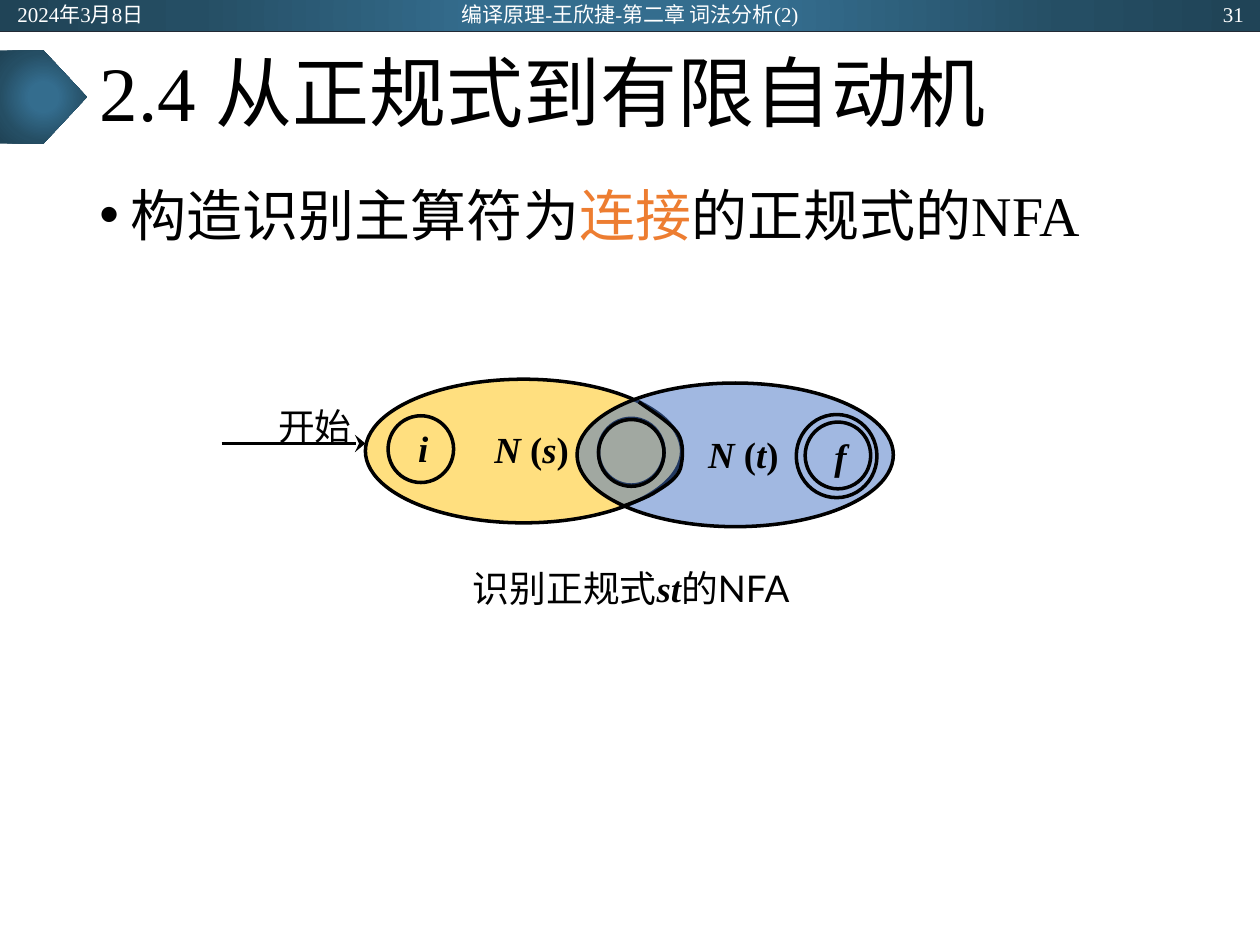
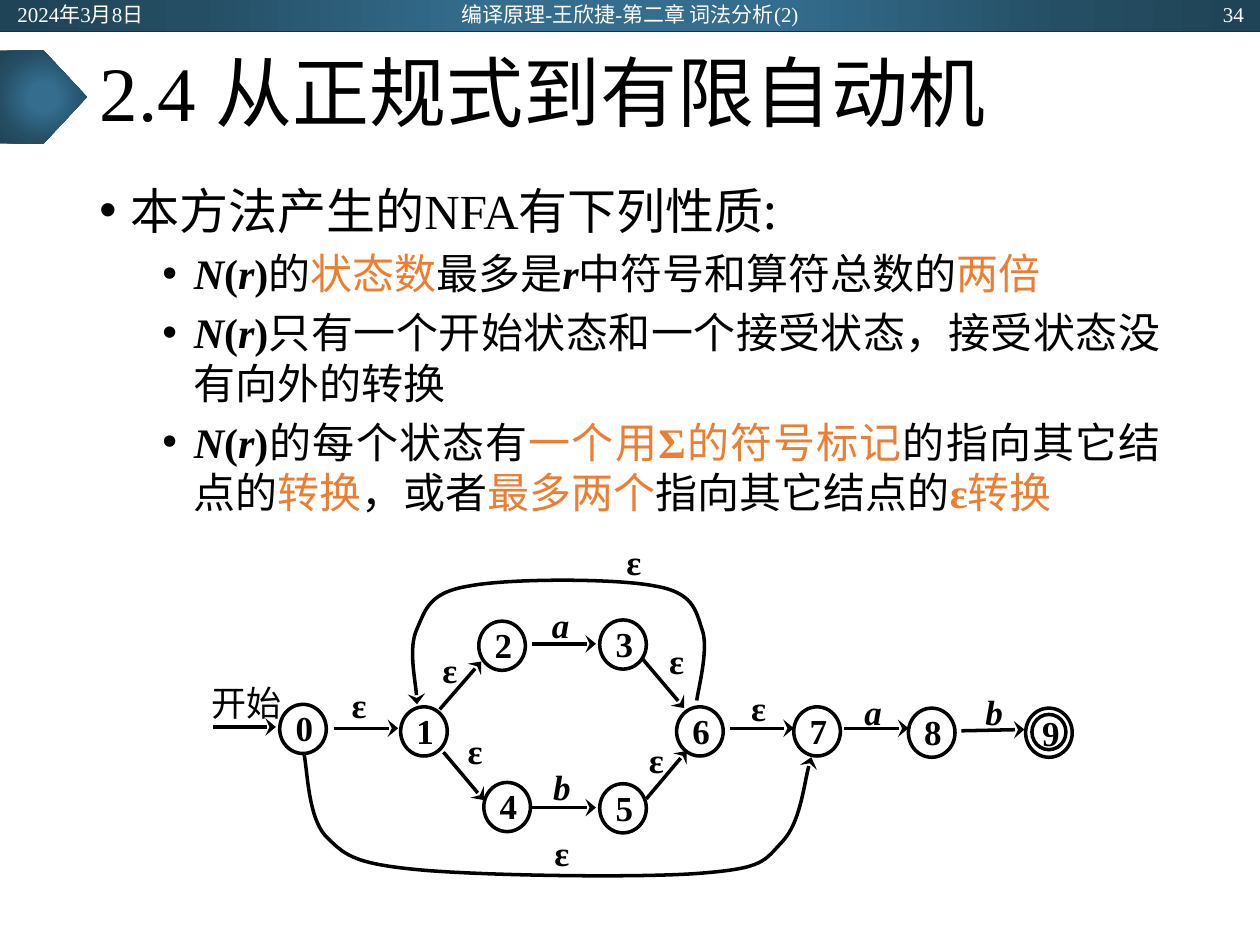
from dataclasses import dataclass

from lxml import etree
from pptx import Presentation
from pptx import util as u
from pptx.dml.color import RGBColor
from pptx.enum import shapes, text
from pptx.oxml import ns

PX = u.Inches(1) // 100


@dataclass(frozen=True)
class Theme:
    ink: str = "000000"
    paper: str = "FFFFFF"
    accent: str = "ED7D31"
    rule: str = "222A35"
    first_part: str = "FFC000"
    second_part: str = "4472C4"
    glow: tuple = ((0, "346D8E"), (23, "346D8E"), (69, "254E64"), (97, "204457"))
    latin: str = "Times New Roman"
    cjk: str = "Noto Sans CJK SC"
    sans: str = "Lato"
    title: int = 44
    topic: int = 32
    lead: int = 28
    point: int = 24
    diagram: int = 21
    state: int = 20
    footer: int = 12
    stroke: float = 2


THEME = Theme()
STYLES = {
    "plain": {},
    "bold": {"bold": True},
    "var": {"bold": True, "italic": True},
    "hot": {"color": THEME.accent},
    "hot bold": {"color": THEME.accent, "bold": True},
    "light": {"color": THEME.paper},
    "cjk": {"name": THEME.cjk},
    "sans": {"name": THEME.sans},
}
ALIGN = text.PP_ALIGN
MIDDLE = text.MSO_ANCHOR.MIDDLE
CENTERED = {"alignment": ALIGN.CENTER}
STANDARD_INSETS = (10, 5, 10, 5)
LABEL_INSETS = (4, 2, 4, 2)
STATE_INSETS = (4, 2, 2, 4)
STATE_SIZE = (37, 39)
INNER_SIZE = (52, 53)


def emu(lengths):
    return [length * PX for length in lengths]


def add_xml(parent, tag, **attributes):
    return etree.SubElement(parent, ns.qn(tag), attributes)


def apply(target, settings):
    for name, value in settings.items():
        setattr(target, name, value)


def add_run(paragraph, words, style, size):
    run = paragraph.add_run()
    run.text = words
    settings = {"name": THEME.latin, "size": u.Pt(size), "bold": False,
                "italic": False, "color": THEME.ink, **STYLES[style]}
    color = settings.pop("color")
    apply(run.font, settings)
    run.font.color.rgb = RGBColor.from_string(color)
    add_xml(run.font._element, "a:ea", typeface=THEME.cjk)


def add_bullet(paragraph, indent):
    properties = paragraph._p.get_or_add_pPr()
    properties.set("marL", str(indent * PX))
    properties.set("indent", str(-25 * PX))
    add_xml(properties, "a:buFont", typeface="Arial")
    add_xml(properties, "a:buChar", char="•")


def line_of(runs, size, indent=None, **settings):
    return {"runs": runs, "size": size, "indent": indent, "settings": settings}


def write(frame, lines, insets=STANDARD_INSETS, anchor=MIDDLE):
    left, top, right, bottom = emu(insets)
    apply(frame, {"word_wrap": True, "auto_size": text.MSO_AUTO_SIZE.NONE,
                  "vertical_anchor": anchor, "margin_left": left, "margin_top": top,
                  "margin_right": right, "margin_bottom": bottom})
    for index, line in enumerate(lines):
        paragraph = frame.add_paragraph() if index else frame.paragraphs[0]
        apply(paragraph, line["settings"])
        if line["indent"]:
            add_bullet(paragraph, line["indent"])
        for words, style in line["runs"]:
            add_run(paragraph, words, style, line["size"])


def add_text(slide, box, lines, insets=STANDARD_INSETS, anchor=MIDDLE):
    write(slide.shapes.add_textbox(*emu(box)).text_frame, lines, insets, anchor)


def add_label(slide, box, runs, size, insets=LABEL_INSETS):
    add_text(slide, box, [line_of(runs, size, **CENTERED)], insets)


def stroke(shape, tail=False):
    shape.line.color.rgb = RGBColor.from_string(THEME.ink)
    shape.line.width = u.Pt(THEME.stroke)
    if tail:
        outline = shape._element.spPr.find(ns.qn("a:ln"))
        add_xml(outline, "a:tailEnd", type="stealth", w="lg", len="med")


def add_ellipse(slide, box, fill=None, runs=None, size=THEME.diagram, insets=STATE_INSETS):
    ellipse = slide.shapes.add_shape(shapes.MSO_SHAPE.OVAL, *emu(box))
    ellipse.shadow.inherit = False
    stroke(ellipse)
    if fill:
        ellipse.fill.solid()
        ellipse.fill.fore_color.rgb = RGBColor.from_string(fill)
        color = ellipse._element.spPr.find(ns.qn("a:solidFill"))[0]
        add_xml(color, "a:alpha", val="50000")
    else:
        ellipse.fill.background()
    if runs:
        write(ellipse.text_frame, [line_of(runs, size, **CENTERED)], insets)


def add_straight(slide, ends):
    return slide.shapes.add_connector(shapes.MSO_CONNECTOR.STRAIGHT, *emu(ends))


def add_arrow(slide, ends):
    arrow = add_straight(slide, ends)
    stroke(arrow, tail=True)
    add_xml(arrow._element.spPr, "a:effectLst")


def bend(outline):
    corners = outline.findall(ns.qn("a:lnTo"))
    for first in range(0, len(corners), 3):
        cubic = add_xml(outline, "a:cubicBezTo")
        for corner in corners[first:first + 3]:
            cubic.append(corner[0])
            outline.remove(corner)


def add_curve(slide, points, tail=False):
    builder = slide.shapes.build_freeform(*points[0], scale=PX)
    builder.add_line_segments(points[1:], close=False)
    curve = builder.convert_to_shape()
    bend(curve._element.spPr.find(".//" + ns.qn("a:path")))
    curve.shadow.inherit = False
    curve.fill.background()
    stroke(curve, tail)


def add_glow(slide, kind, box):
    shape = slide.shapes.add_shape(kind, *emu(box))
    shape.shadow.inherit = False
    shape.line.fill.background()
    shape.fill.gradient()
    gradient = shape._element.spPr.find(ns.qn("a:gradFill"))
    for child in list(gradient):
        gradient.remove(child)
    stops = add_xml(gradient, "a:gsLst")
    for position, color in THEME.glow:
        add_xml(add_xml(stops, "a:gs", pos=str(position * 1000)), "a:srgbClr", val=color)
    center = add_xml(gradient, "a:path", path="circle")
    add_xml(center, "a:fillToRect", **dict.fromkeys("ltrb", "50000"))


def start_slide(deck, number):
    slide = deck.slides.add_slide(deck.slide_layouts.get_by_name("Title Only"))
    add_glow(slide, shapes.MSO_SHAPE.RECTANGLE, (0, 0, 1000, 25))
    rule = add_straight(slide, (0, 25, 1000, 25))
    rule.line.color.rgb = RGBColor.from_string(THEME.rule)
    rule.line.width = u.Pt(0.5)
    add_xml(rule._element.spPr, "a:effectLst")
    add_glow(slide, shapes.MSO_SHAPE.PENTAGON, (0, 40, 69, 74))
    title = slide.shapes.title
    apply(title, dict(zip(("left", "top", "width", "height"), emu((69, 25, 862, 104)))))
    heading = [("2.4 从正规式到有限自动机", "plain")]
    write(title.text_frame, [line_of(heading, THEME.title, alignment=ALIGN.LEFT, line_spacing=0.9)])
    for left, width, words, alignment in (
            (4, 225, "2024年3月8日", ALIGN.LEFT),
            (331, 338, "编译原理-王欣捷-第二章 词法分析(2)", ALIGN.CENTER),
            (772, 225, str(number), ALIGN.RIGHT)):
        add_text(slide, (left, 1, width, 20),
                 [line_of([(words, "light")], THEME.footer, alignment=alignment)])
    return slide


def add_body(slide, lines):
    add_text(slide, (69, 138, 862, 538), lines, anchor=text.MSO_ANCHOR.TOP)


def automaton(argument, gap=""):
    return [("N" + gap, "var"), ("(", "bold"), (argument, "var"), (")", "bold")]


def property_line(*runs):
    return line_of(automaton("r") + list(runs), THEME.point, indent=75, level=1,
                   alignment=ALIGN.JUSTIFY, space_before=u.Pt(5))


def build_concatenation(deck):
    slide = start_slide(deck, 31)
    add_body(slide, [line_of([("构造识别主算符为", "cjk"), ("连接", "hot"),
                              ("的正规式的", "cjk"), ("NFA", "plain")],
                             THEME.topic, indent=25)])
    add_label(slide, (309, 444, 384, 45),
              [("识别正规式", "plain"), ("st", "var"), ("的", "cjk"), ("NFA", "sans")],
              THEME.diagram)
    add_ellipse(slide, (290, 301, 251, 114), THEME.first_part)
    add_ellipse(slide, (308, 330, *INNER_SIZE), runs=[("i", "var")], insets=(6, 2, 2, 4))
    add_ellipse(slide, (475, 332, *INNER_SIZE))
    add_ellipse(slide, (458, 304, 251, 114), THEME.second_part)
    add_ellipse(slide, (632, 329, 64, 66))
    add_ellipse(slide, (639, 335, *INNER_SIZE), runs=[("f", "var")], insets=(6, 2, 2, 1))
    add_ellipse(slide, (475, 333, *INNER_SIZE))
    for left, top, argument in ((379, 325, "s"), (547, 329, "t")):
        add_label(slide, (left, top, 87, 64), automaton(argument, " "),
                  THEME.diagram, (6, 2, 7, 4))
    add_label(slide, (208, 313, 84, 50), [("开始", "plain")], THEME.diagram)
    add_curve(slide, [(507, 319), (512, 323), (532, 335), (538, 344), (543, 352), (542, 364),
                      (540, 372), (537, 380), (529, 385), (521, 390), (514, 395), (499, 400),
                      (494, 402)])
    add_arrow(slide, (176, 352, 290, 352))


def build_properties(deck):
    slide = start_slide(deck, 34)
    add_body(slide, [
        line_of([("本方法产生的NFA有", "plain"), ("下列性质:", "cjk")], THEME.lead, indent=25),
        property_line(("的", "plain"), ("状态数", "hot"), ("最多是", "plain"), ("r", "var"),
                      ("中符号和算符总数的", "plain"), ("两倍", "hot")),
        property_line(("只有一个开始状态和一个接受状态，接受状态没有向外的转换", "plain")),
        property_line(("的每个状态有", "plain"), ("一个用", "hot"), ("Σ", "hot bold"),
                      ("的符号标记", "hot"), ("的指向其它结点的", "plain"), ("转换", "hot"),
                      ("，或者", "plain"), ("最多两个", "hot"), ("指向其它结点的", "plain"),
                      ("ε", "hot bold"), ("转换", "hot")),
    ])
    states = ((222, 559), (318, 561), (380, 493), (476, 492), (384, 621),
              (476, 622), (537, 561), (630, 561), (721, 562))
    for number, corner in enumerate(states):
        add_ellipse(slide, (*corner, *STATE_SIZE), runs=[(str(number), "bold")], size=THEME.state)
    add_ellipse(slide, (814, 562, *STATE_SIZE))
    add_ellipse(slide, (819, 567, 27, 28), runs=[("9", "bold")],
                size=THEME.state, insets=(4, 0, 1, 0))
    add_label(slide, (149, 539, 94, 37), [("开始", "plain")], THEME.state)
    transitions = {
        "ε": ((269, 544), (341, 516), (361, 580), (521, 509), (505, 587),
              (430, 661), (586, 546), (487, 430)),
        "a": ((429, 480), (677, 549)),
        "b": ((430, 609), (773, 549)),
    }
    for symbol, corners in transitions.items():
        style = "bold" if symbol == "ε" else "var"
        for corner in corners:
            add_label(slide, (*corner, 32, 31), [(symbol, style)], THEME.state)
    for ends in ((169, 577, 219, 577), (265, 578, 316, 578), (763, 580, 813, 579),
                 (670, 578, 721, 578), (579, 578, 630, 578), (422, 511, 473, 511),
                 (349, 563, 382, 525), (510, 523, 543, 562), (513, 634, 545, 596),
                 (352, 597, 384, 635), (422, 641, 473, 641)):
        add_arrow(slide, ends)
    skip = [(241, 597), (244, 608), (244, 647), (258, 663), (273, 678), (279, 685),
            (329, 690), (378, 695), (509, 697), (557, 693), (606, 689), (606, 684),
            (621, 668), (635, 653), (639, 615), (644, 601)]
    repeat = [(553, 556), (554, 547), (563, 514), (557, 499), (552, 484), (550, 470),
              (519, 465), (489, 459), (404, 459), (373, 465), (341, 470), (338, 483),
              (331, 499), (324, 514), (331, 546), (331, 559)]
    for points in (skip, repeat):
        add_curve(slide, points, tail=True)


def main():
    deck = Presentation()
    apply(deck, {"slide_width": 1000 * PX, "slide_height": 750 * PX})
    build_concatenation(deck)
    build_properties(deck)
    deck.save("out.pptx")


if __name__ == "__main__":
    main()
